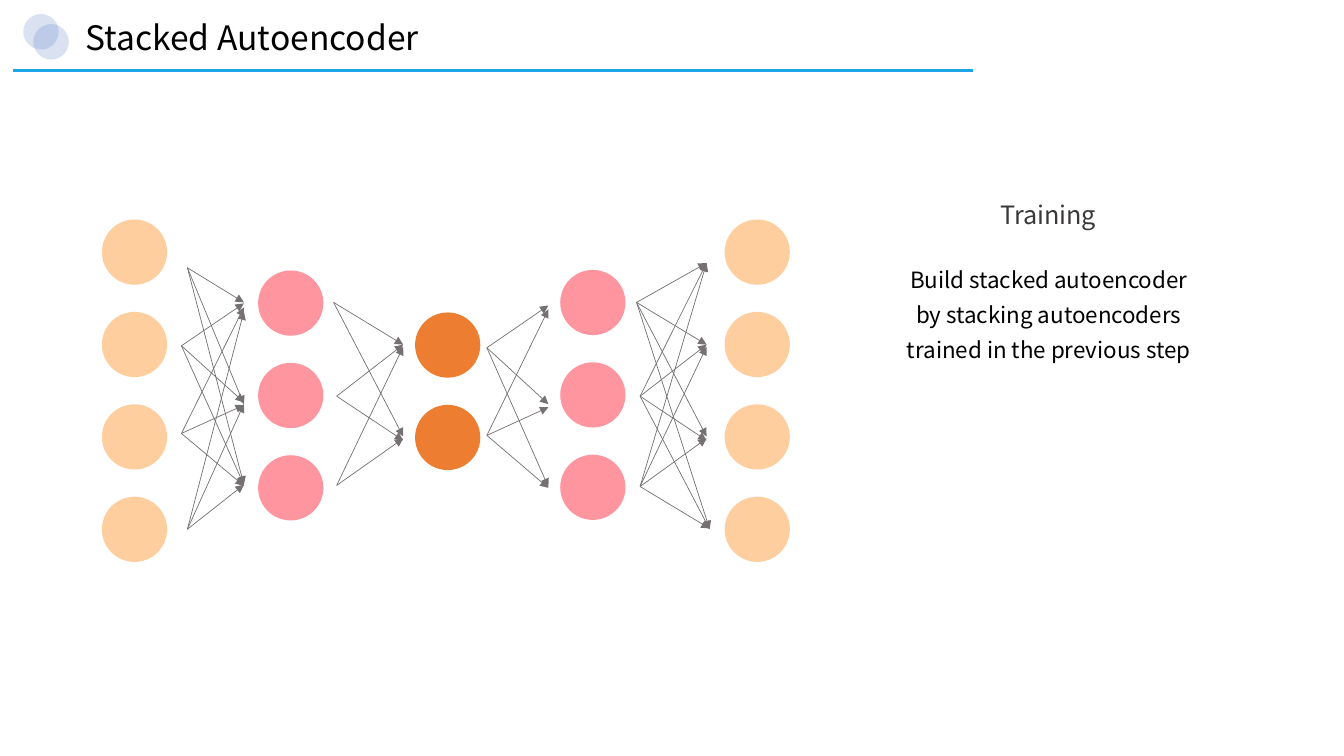
from dataclasses import dataclass

from lxml.etree import SubElement
from pptx import Presentation
from pptx.dml.color import RGBColor
from pptx.enum.shapes import MSO_CONNECTOR, MSO_SHAPE
from pptx.enum.text import MSO_AUTO_SIZE, PP_ALIGN
from pptx.oxml.ns import qn
from pptx.util import Pt


@dataclass(frozen=True)
class Theme:
    font: str = "Noto Sans CJK KR"
    title_size: float = 24
    heading_size: float = 18
    body_size: float = 16
    text: str = "000000"
    heading: str = "3B3838"
    rule: str = "1EA5E9"
    arrow: str = "767171"
    emblem: str = "4970C2"
    outer: str = "FFCE9F"
    hidden: str = "FF959E"
    code: str = "ED7D31"


theme = Theme()

# Content: all lengths in points
TITLE = "Stacked Autoencoder"
HEADING = "Training"
BODY = [
    "Build stacked autoencoder",
    "by stacking autoencoders",
    "trained in the previous step",
]

NEURON = 46.6
NEURON_PITCH = 66
# Layers: left, top of first neuron, neuron count, colour
LAYERS = [
    (72.8, 156.8, 4, theme.outer),
    (184.4, 193.2, 3, theme.hidden),
    (296.5, 223.2, 2, theme.code),
    (400.2, 192.8, 3, theme.hidden),
    (517.6, 156.8, 4, theme.outer),
]

# Links between layers: x of each arrow tip, then per source x, y and tip heights
LINKS = [
    ([174.2, 174.2, 174.2], [
        (133.9, 191.3, [216, 288.7, 346.3]),
        (129.6, 247, [216.7, 287.3, 346.3]),
        (129.6, 309.6, [219.6, 289.4, 347]),
        (133.9, 378, [222.5, 288.7, 346.3]),
    ]),
    ([288, 288], [
        (238.3, 216, [246.2, 311.8]),
        (240.5, 283, [246.2, 314.6]),
        (240.5, 346.7, [247.7, 313.2]),
    ]),
    ([391.7, 391.7, 391.7], [
        (347.8, 248.4, [218.2, 288.7, 347.8]),
        (347.8, 311, [221, 290.9, 348.5]),
    ]),
    ([504.7, 504.7, 504.7, 506.9], [
        (454.7, 216, [187.9, 246.2, 311.8, 378]),
        (457.2, 283, [187.9, 246.2, 314.6, 378]),
        (457.2, 347.5, [187.9, 247.7, 313.2, 377.5]),
    ]),
]

deck = Presentation()
deck.slide_width, deck.slide_height = Pt(960), Pt(540)
page = deck.slides.add_slide(deck.slide_layouts[6])


def add_circle(left, top, size, color, opacity=None):
    circle = page.shapes.add_shape(
        MSO_SHAPE.OVAL, Pt(left), Pt(top), Pt(size), Pt(size))
    circle.shadow.inherit = False
    circle.line.fill.background()
    circle.fill.solid()
    circle.fill.fore_color.rgb = RGBColor.from_string(color)
    if opacity is not None:
        tint = circle._element.spPr.find(qn("a:solidFill"))[0]
        SubElement(tint, qn("a:alpha")).set("val", str(opacity * 1000))


def add_line(start, end, color, width, arrow=False):
    line = page.shapes.add_connector(
        MSO_CONNECTOR.STRAIGHT, *(Pt(value) for value in (*start, *end)))
    line.line.color.rgb = RGBColor.from_string(color)
    line.line.width = Pt(width)
    if arrow:
        SubElement(line.line._get_or_add_ln(), qn("a:tailEnd")).set("type", "triangle")
    SubElement(line._element.spPr, qn("a:effectLst"))


def add_text(bounds, lines, size, color, align=PP_ALIGN.CENTER, spacing=None):
    box = page.shapes.add_textbox(*(Pt(value) for value in bounds))
    frame = box.text_frame
    frame.word_wrap = True
    frame.auto_size = MSO_AUTO_SIZE.SHAPE_TO_FIT_TEXT
    for index, line in enumerate(lines):
        para = frame.add_paragraph() if index else frame.paragraphs[0]
        para.alignment = align
        para.line_spacing = spacing
        span = para.add_run()
        span.text = line
        span.font.name = theme.font
        span.font.size = Pt(size)
        span.font.color.rgb = RGBColor.from_string(color)


# Header: overlapping circles, rule and title
for left, top in [(16.6, 10), (23.8, 17.2)]:
    add_circle(left, top, 25.4, theme.emblem, opacity=20)
add_line((9.4, 50.5), (694.8, 50.5), theme.rule, 2.25)
add_text((54, 8.6, 592, 36), [TITLE], theme.title_size, theme.text, PP_ALIGN.LEFT)

# Network: neurons
for left, top, count, color in LAYERS:
    for row in range(count):
        add_circle(left, top + row * NEURON_PITCH, NEURON, color)

# Network: every source points at every neuron of the next layer
for tip_xs, sources in LINKS:
    for x, y, tip_ys in sources:
        for tip in zip(tip_xs, tip_ys):
            add_line((x, y), tip, theme.arrow, 0.5, arrow=True)

# Explanation
add_text((704.9, 139, 87.8, 28.8), [HEADING], theme.heading_size, theme.heading)
add_text((623.5, 180.7, 251.3, 81.4), BODY, theme.body_size, theme.text, spacing=1.3)

deck.save("out.pptx")
